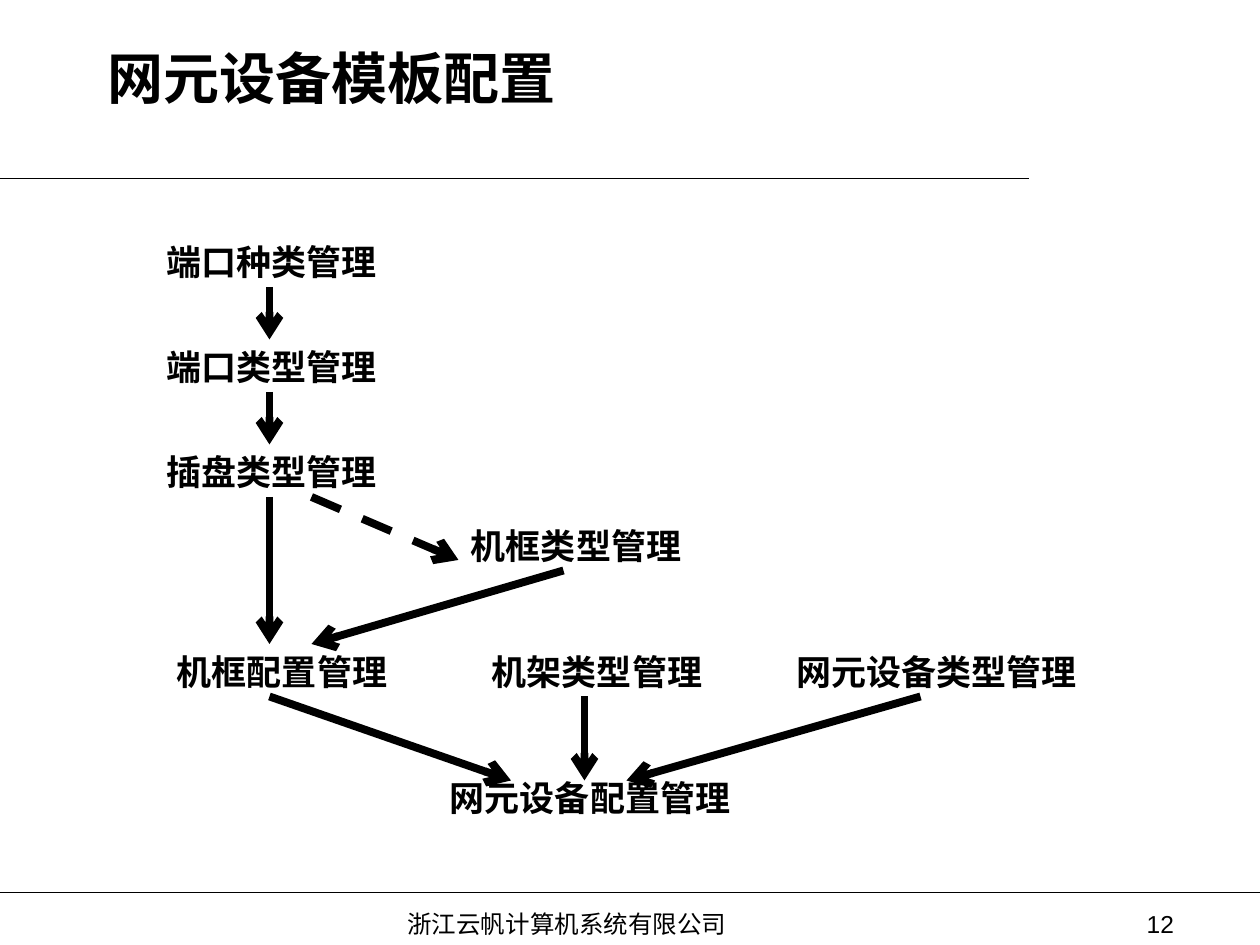
from pptx import Presentation
from pptx import util as u
from pptx.dml.color import RGBColor
from pptx.enum import dml, shapes, text
from pptx.oxml.ns import qn
from lxml import etree

Pt = u.Pt
TITLE_ONLY = 5


def color(hex_value):
    return RGBColor.from_string(hex_value)


class Flow:
    """Style and current slide of the configuration flow."""

    ink = "000000"
    heading = {"name": "Times New Roman", "size": Pt(32), "bold": True}
    step_font = {"name": "Times New Roman", "size": Pt(20), "bold": True}
    footer_font = {"name": "Times New Roman", "size": Pt(14), "bold": False}
    page_font = {"name": "Arial", "size": Pt(14), "bold": False}

    def __init__(self, slide):
        self.slide = slide

    def place(self, shape, box):
        for side, value in zip(("left", "top", "width", "height"), box):
            setattr(shape, side, Pt(value))

    def set_words(self, shape, words, font, align, anchor, indent=7.2):
        frame = shape.text_frame
        frame_format = {
            "word_wrap": True,
            "auto_size": text.MSO_AUTO_SIZE.NONE,
            "vertical_anchor": anchor,
            "margin_left": Pt(indent),
            "margin_right": Pt(7.2),
            "margin_top": Pt(3.6),
            "margin_bottom": Pt(3.6),
        }
        for key, value in frame_format.items():
            setattr(frame, key, value)
        line = frame.paragraphs[0]
        line.alignment = align
        line.space_before = Pt(0)
        run = line.add_run()
        run.text = words
        for key, value in font.items():
            setattr(run.font, key, value)
        run.font.color.rgb = color(self.ink)

    def title(self, words, box):
        heading = self.slide.shapes.title
        self.place(heading, box)
        self.set_words(heading, words, self.heading, text.PP_ALIGN.LEFT,
                       text.MSO_ANCHOR.MIDDLE)

    def label(self, words, box, font, align=text.PP_ALIGN.LEFT, indent=7.2):
        label = self.slide.shapes.add_textbox(*map(Pt, box))
        self.set_words(label, words, font, align, text.MSO_ANCHOR.TOP, indent)

    def rule(self, start, end, weight=0.75):
        rule = self.slide.shapes.add_connector(
            shapes.MSO_CONNECTOR.STRAIGHT, *map(Pt, start + end))
        rule.line.color.rgb = color(self.ink)
        rule.line.width = Pt(weight)
        etree.SubElement(rule._element.spPr, qn("a:effectLst"))
        return rule

    def arrow(self, start, end, dashed=False):
        arrow = self.rule(start, end, 4.5)
        if dashed:
            arrow.line.dash_style = dml.MSO_LINE.DASH
        outline = arrow._element.spPr.find(qn("a:ln"))
        etree.SubElement(outline, qn("a:tailEnd"), type="arrow")


def main():
    deck = Presentation()
    deck.slide_width, deck.slide_height = Pt(720), Pt(540)
    flow = Flow(deck.slides.add_slide(deck.slide_layouts[TITLE_ONLY]))

    # Frame: rules, title, footer and page number
    flow.rule((0, 102), (588, 102))
    flow.rule((0, 510), (720, 510))
    flow.title("网元设备模板配置", (54, 26, 618, 36))
    flow.label("浙江云帆计算机系统有限公司", (204, 516, 246, 24),
               flow.footer_font, indent=28.8)
    flow.label("12", (528, 516, 150, 24), flow.page_font, text.PP_ALIGN.RIGHT)

    # Steps: name, left, top, width
    steps = [
        ("端口种类管理", 88, 134, 142),
        ("端口类型管理", 88, 194, 152),
        ("插盘类型管理", 88, 254, 152),
        ("机框类型管理", 262, 296, 152),
        ("机框配置管理", 94, 368, 152),
        ("机架类型管理", 274, 368, 152),
        ("网元设备类型管理", 448, 368, 180),
        ("网元设备配置管理", 250, 440, 180),
    ]
    for name, left, top, width in steps:
        flow.label(name, (left, top, width, 31.5), flow.step_font)

    # Dependencies between the steps
    port_x, rack_x = 154, 334
    flow.arrow((port_x, 164), (port_x, 194))
    flow.arrow((port_x, 224), (port_x, 254))
    flow.arrow((178, 284), (262, 320), dashed=True)
    flow.arrow((port_x, 284), (port_x, 368))
    flow.arrow((322, 326), (178, 368))
    for start_x, end_x in ((port_x, 292), (rack_x, rack_x), (526, 358)):
        flow.arrow((start_x, 398), (end_x, 446))

    deck.save("out.pptx")


if __name__ == "__main__":
    main()
